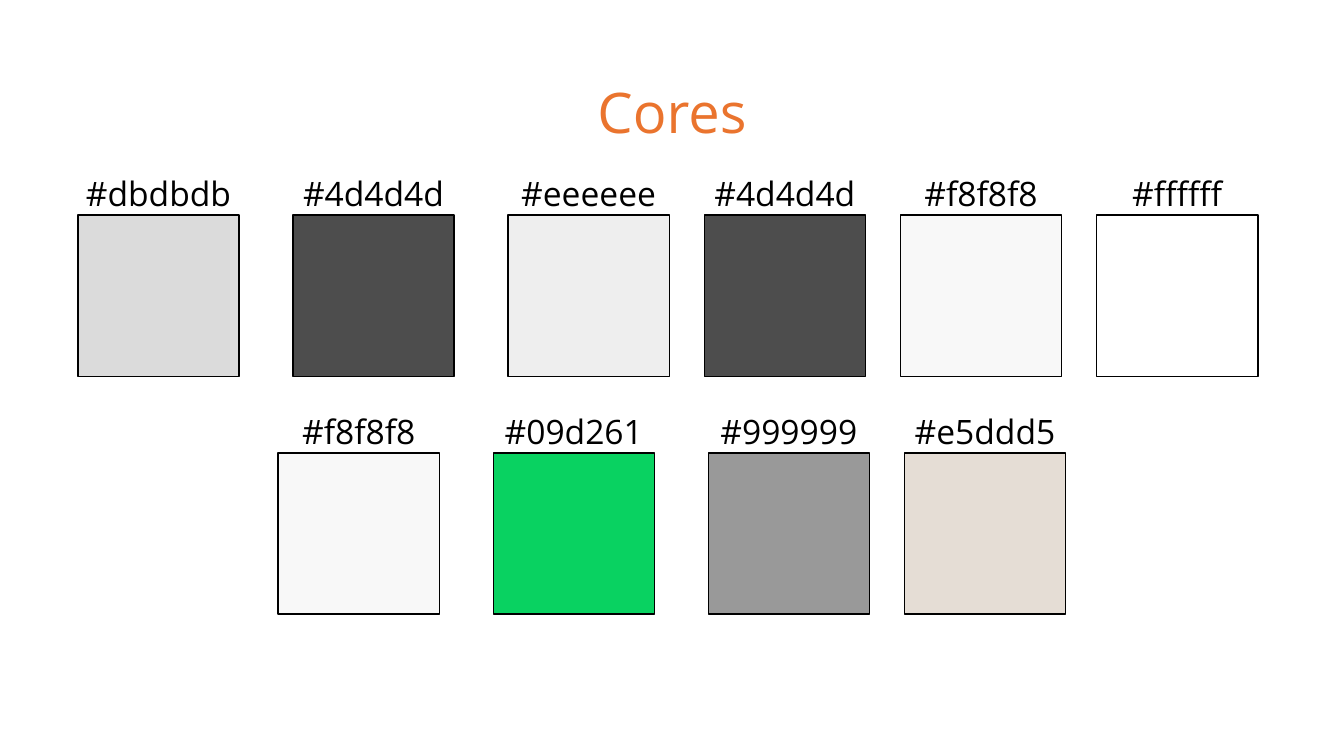
from pptx import Presentation
from pptx.dml.color import RGBColor
from pptx.enum.shapes import MSO_SHAPE
from pptx.enum.text import MSO_ANCHOR, MSO_AUTO_SIZE, PP_ALIGN
from pptx.util import Inches, Pt

ORANGE = RGBColor(0xEA, 0x74, 0x2E)
BLACK = RGBColor(0x00, 0x00, 0x00)
FONT = "Open Sans"

SLIDE_WIDTH = 10
SLIDE_HEIGHT = SLIDE_WIDTH * 9 / 16
SWATCH_SIZE = 1.2
LABEL_WIDTH, LABEL_HEIGHT = 1.43, 0.49
LABEL_RISE = 0.41
WIDE_STEP, NARROW_STEP = 1.6, 1.46
WIDE_STEPS = 2

ROWS = [
    (0.58, 1.6, ["dbdbdb", "4d4d4d", "eeeeee", "4d4d4d", "f8f8f8", "ffffff"]),
    (2.07, 3.37, ["f8f8f8", "09d261", "999999", "e5ddd5"]),
]


def write_text(shape, text, size, color):
    """Fill a shape with one centred line of text."""
    frame = shape.text_frame
    frame.word_wrap = True
    frame.auto_size = MSO_AUTO_SIZE.NONE
    frame.vertical_anchor = MSO_ANCHOR.TOP
    frame.margin_left = frame.margin_right = Inches(0.1)
    frame.margin_top = frame.margin_bottom = Inches(0.1)
    frame.text = text
    paragraph = frame.paragraphs[0]
    paragraph.alignment = PP_ALIGN.CENTER
    paragraph.space_after = Pt(10)
    paragraph.font.name = FONT
    paragraph.font.size = Pt(size)
    paragraph.font.color.rgb = color


def set_title(slide, text):
    """Place and format the title placeholder."""
    title = slide.shapes.title
    title.left, title.top = Inches(0.34), Inches(0.48)
    title.width, title.height = Inches(9.32), Inches(0.63)
    write_text(title, text, 30, ORANGE)


def add_swatch(slide, left, top, code):
    """Add a colour square with its hex code above it."""
    square = slide.shapes.add_shape(
        MSO_SHAPE.RECTANGLE, Inches(left), Inches(top),
        Inches(SWATCH_SIZE), Inches(SWATCH_SIZE))
    square.shadow.inherit = False
    square.fill.solid()
    square.fill.fore_color.rgb = RGBColor.from_string(code.upper())
    square.line.color.rgb = BLACK
    square.line.width = Pt(0.75)
    label = slide.shapes.add_textbox(
        Inches(left - (LABEL_WIDTH - SWATCH_SIZE) / 2), Inches(top - LABEL_RISE),
        Inches(LABEL_WIDTH), Inches(LABEL_HEIGHT))
    write_text(label, f"#{code}", 18, BLACK)


def add_swatch_row(slide, left, top, codes):
    """Add a row of swatches, the first steps wider than the rest."""
    for index, code in enumerate(codes):
        add_swatch(slide, left, top, code)
        left += WIDE_STEP if index < WIDE_STEPS else NARROW_STEP


def main():
    """Build the colour palette slide."""
    presentation = Presentation()
    presentation.slide_width = Inches(SLIDE_WIDTH)
    presentation.slide_height = Inches(SLIDE_HEIGHT)
    slide = presentation.slides.add_slide(presentation.slide_layouts[5])
    set_title(slide, "Cores")
    for left, top, codes in ROWS:
        add_swatch_row(slide, left, top, codes)
    presentation.save("out.pptx")


if __name__ == "__main__":
    main()
